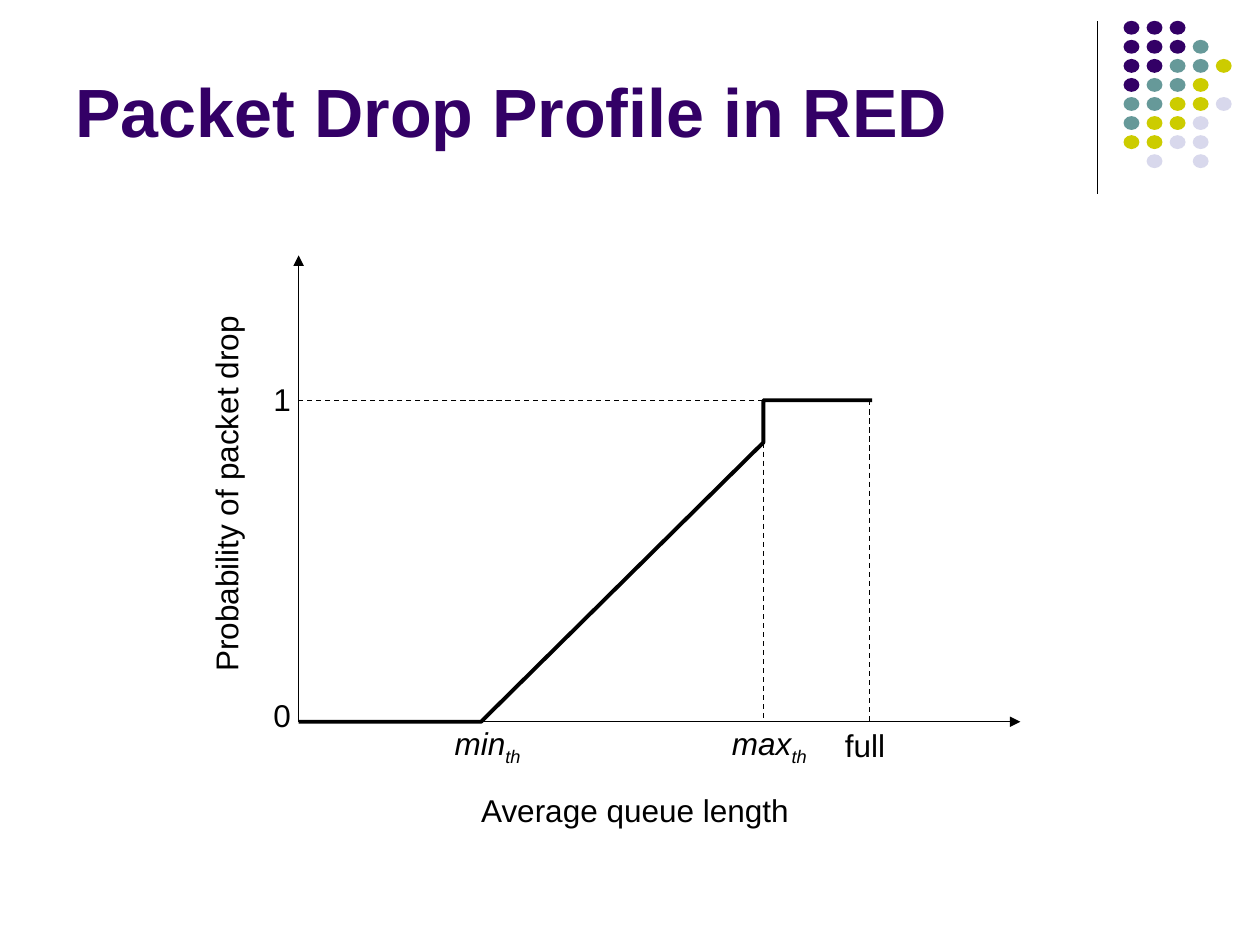
from lxml.etree import SubElement
from pptx import Presentation
from pptx.dml.color import RGBColor
from pptx.enum.dml import MSO_LINE
from pptx.enum.shapes import MSO_CONNECTOR, MSO_SHAPE
from pptx.enum.text import MSO_ANCHOR, MSO_AUTO_SIZE, PP_ALIGN
from pptx.oxml.ns import qn
from pptx.util import Cm, Pt

BLACK = RGBColor(0x00, 0x00, 0x00)
PURPLE = RGBColor(0x33, 0x00, 0x66)
TEAL = RGBColor(0x66, 0x99, 0x99)
OLIVE = RGBColor(0xCC, 0xCC, 0x00)
LILAC = RGBColor(0xD8, 0xD8, 0xEC)
FONT = "Arial"

# Corner dots, one letter per dot
DOT_COLORS = {"P": PURPLE, "T": TEAL, "O": OLIVE, "L": LILAC}
DOT_ROWS = ["PPP", "PPPT", "PPTTO", "PTTO", "TTOOL", "TOOL", "OOLL", " L L"]
DOT_STEP_X, DOT_STEP_Y = 1.86 / 4, 2.69 / 7

# Positions on the graph, in cm
X_ORIGIN, X_MIN, X_MAX, X_FULL, X_END = 6.02, 9.7, 15.39, 17.53, 20.57
Y_ZERO, Y_JUMP, Y_ONE, Y_END = 14.55, 8.92, 8.07, 5.15


def add_line(s, x1, y1, x2, y2, dashed=False, arrow=False):
    line = s.shapes.add_connector(MSO_CONNECTOR.STRAIGHT,
                                  Cm(x1), Cm(y1), Cm(x2), Cm(y2))
    line.line.color.rgb = BLACK
    line.line.width = Pt(0.75)
    if dashed:
        line.line.dash_style = MSO_LINE.DASH
    if arrow:
        SubElement(line.line._get_or_add_ln(), qn("a:tailEnd"), type="triangle")
    SubElement(line._element.spPr, qn("a:effectLst"))


def add_dots(s):
    for row, letters in enumerate(DOT_ROWS):
        for col, letter in enumerate(letters):
            if letter == " ":
                continue
            dot = s.shapes.add_shape(
                MSO_SHAPE.OVAL, Cm(22.65 + DOT_STEP_X * col),
                Cm(0.42 + DOT_STEP_Y * row), Cm(0.32), Cm(0.28))
            dot.shadow.inherit = False
            dot.fill.solid()
            dot.fill.fore_color.rgb = DOT_COLORS[letter]
            dot.line.fill.background()


def add_title(s, text):
    tf = s.shapes.add_textbox(Cm(1.27), Cm(0.33), Cm(20.96), Cm(2.84)).text_frame
    tf.word_wrap = True
    tf.vertical_anchor = MSO_ANCHOR.BOTTOM
    p = tf.paragraphs[0]
    p.text = text
    p.font.name, p.font.size, p.font.bold = FONT, Pt(39), True
    p.font.color.rgb = PURPLE


def add_label(s, text, x, y, width, subscript="", rotation=0):
    """Place a one-line label centred on (x, y); a subscript makes it italic."""
    height = 0.76
    box = s.shapes.add_textbox(Cm(x - width / 2), Cm(y - height / 2),
                               Cm(width), Cm(height))
    box.rotation = rotation
    tf = box.text_frame
    tf.word_wrap = False
    tf.auto_size = MSO_AUTO_SIZE.SHAPE_TO_FIT_TEXT
    tf.vertical_anchor = MSO_ANCHOR.MIDDLE
    tf.margin_left = tf.margin_right = tf.margin_top = tf.margin_bottom = 0
    p = tf.paragraphs[0]
    p.alignment = PP_ALIGN.CENTER
    p.font.name, p.font.size = FONT, Pt(18)
    p.font.color.rgb = BLACK
    p.add_run().text = text
    if subscript:
        p.font.italic = True
        r = p.add_run()
        r.text = subscript
        r.font._element.set("baseline", "-25000")


def add_profile(s, points):
    start, *rest = [(Cm(x), Cm(y)) for x, y in points]
    builder = s.shapes.build_freeform(*start)
    builder.add_line_segments(rest, close=False)
    curve = builder.convert_to_shape()
    curve.shadow.inherit = False
    curve.fill.background()
    curve.line.color.rgb = BLACK
    curve.line.width = Pt(2.25)


def main():
    prs = Presentation()
    prs.slide_width, prs.slide_height = Cm(25.4), Cm(19.05)
    s = prs.slides.add_slide(prs.slide_layouts[6])

    # Corner decoration and title
    add_line(s, 22.12, 0.43, 22.12, 3.91)
    add_dots(s)
    add_title(s, "Packet Drop Profile in RED")

    # Axes
    add_line(s, X_ORIGIN, Y_ZERO, X_END, Y_ZERO, arrow=True)
    add_line(s, X_ORIGIN, Y_ZERO, X_ORIGIN, Y_END, arrow=True)

    # Drop profile and guide lines
    add_profile(s, [(X_ORIGIN, Y_ZERO), (X_MIN, Y_ZERO), (X_MAX, Y_JUMP),
                    (X_MAX, Y_ONE), (X_FULL + 0.05, Y_ONE)])
    add_line(s, X_MAX, Y_ONE, X_ORIGIN, Y_ONE, dashed=True)
    add_line(s, X_MAX, Y_JUMP, X_MAX, Y_ZERO, dashed=True)
    add_line(s, X_FULL, Y_ONE, X_FULL, Y_ZERO, dashed=True)

    # Labels
    add_label(s, "Average queue length", 12.8, 16.33, 6.4)
    add_label(s, "Probability of packet drop", 4.55, 9.96, 7.4, rotation=270)
    add_label(s, "1", 5.69, 8.05, 0.4)
    add_label(s, "0", 5.69, 14.42, 0.4)
    add_label(s, "min", 9.83, 15.03, 1.5, subscript="th")
    add_label(s, "max", 15.51, 15.03, 1.7, subscript="th")
    add_label(s, "full", 17.44, 15.01, 1.32)

    prs.save("out.pptx")


if __name__ == "__main__":
    main()
